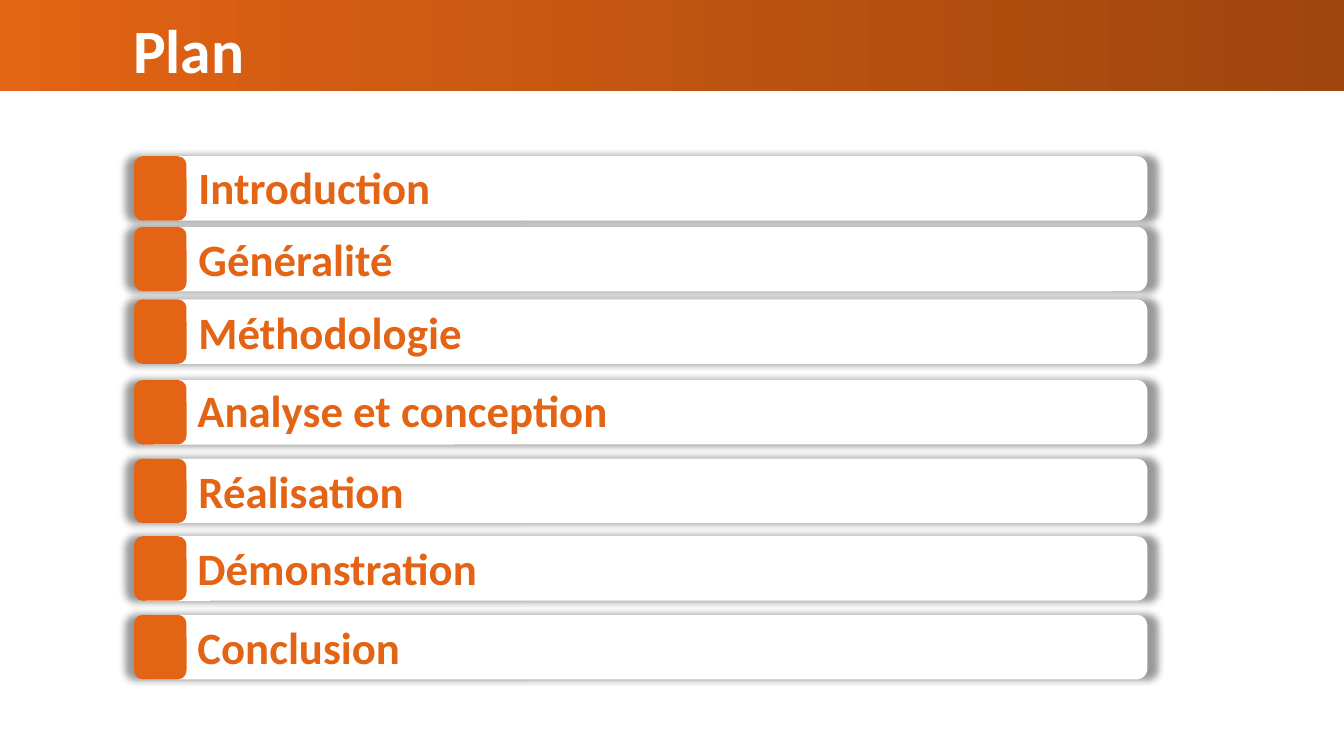
from lxml import etree
from pptx import Presentation
from pptx.dml.color import RGBColor
from pptx.enum.shapes import MSO_SHAPE
from pptx.enum.text import MSO_ANCHOR, PP_ALIGN
from pptx.oxml.ns import qn
from pptx.util import Inches, Pt

RECT, ROUNDED = MSO_SHAPE.RECTANGLE, MSO_SHAPE.ROUNDED_RECTANGLE
TOP, LEFT = MSO_ANCHOR.TOP, PP_ALIGN.LEFT
ORANGE, BROWN, WHITE = "E36414", "9E450E", "FFFFFF"


def color(value):
    return RGBColor.from_string(value)


def write(shape, text, size, value):
    tf = shape.text_frame
    tf.word_wrap = True
    tf.vertical_anchor = TOP
    p = tf.paragraphs[0]
    p.text = text
    p.alignment = LEFT
    p.font.name = "Calibri"
    p.font.size = Pt(size)
    p.font.bold = True
    p.font.color.rgb = color(value)


prs = Presentation()
prs.slide_width, prs.slide_height = Inches(13.33), Inches(7.5)
s = prs.slides.add_slide(prs.slide_layouts[5])

title = s.shapes.title
title.left, title.top = Inches(1.22), Inches(0.07)
title.width, title.height = Inches(4.26), Inches(0.84)
write(title, "Plan", 44, WHITE)

band = s.shapes.add_shape(RECT, 0, Inches(-0.07), prs.slide_width, Inches(0.97))
band.shadow.inherit = False
band.line.fill.background()
band.fill.gradient()
band.fill.gradient_angle = 180
for stop, value in zip(band.fill.gradient_stops, (BROWN, ORANGE)):
    stop.color.rgb = color(value)
title.element.addprevious(band.element)

sections = [
    ("Introduction", 1.55, 1.87, 1.54),
    ("Généralité", 2.25, 1.87, 2.25),
    ("Méthodologie", 2.97, 1.87, 2.97),
    ("Analyse et conception", 3.77, 1.86, 3.75),
    ("Réalisation", 4.55, 1.87, 4.55),
    ("Démonstration", 5.32, 1.86, 5.32),
    ("Conclusion", 6.1, 1.86, 6.1),
]
height = Inches(0.64)
for text, top, text_left, text_top in sections:
    group = s.shapes.add_group_shape()
    for left, width, value in ((1.35, 10.03, WHITE), (1.33, 0.52, ORANGE)):
        sp = group.shapes.add_shape(ROUNDED, Inches(left), Inches(top), Inches(width), height)
        sp.shadow.inherit = False
        sp.fill.solid()
        sp.fill.fore_color.rgb = color(value)
        sp.line.fill.background()
        if value == WHITE:
            effects = sp.element.spPr.find(qn("a:effectLst"))
            shadow = etree.SubElement(effects, qn("a:outerShdw"), blurRad=str(Pt(5)),
                                      sx="102000", sy="102000", algn="ctr", rotWithShape="0")
            black = etree.SubElement(shadow, qn("a:srgbClr"), val="000000")
            etree.SubElement(black, qn("a:alpha"), val="40000")
    label = group.shapes.add_textbox(Inches(text_left), Inches(text_top), Inches(9.09), height)
    write(label, text, 32, ORANGE)

prs.save("out.pptx")
